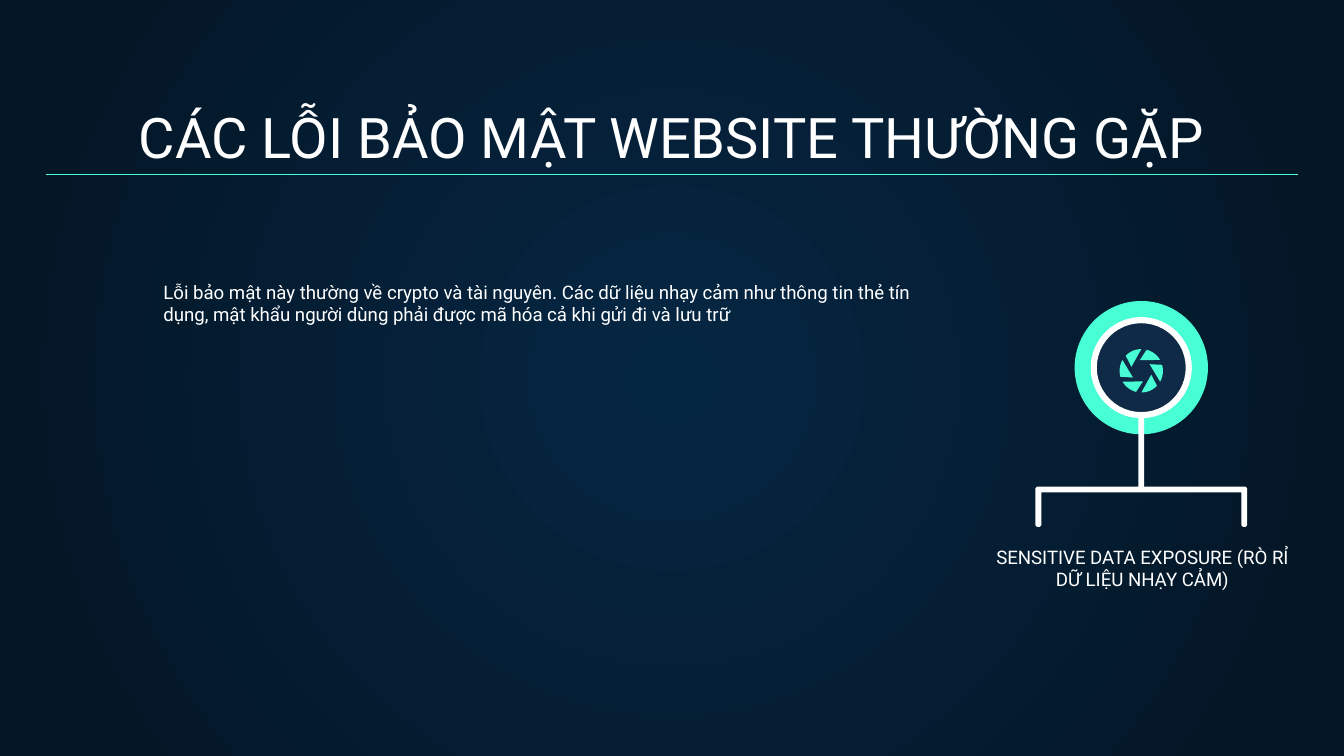
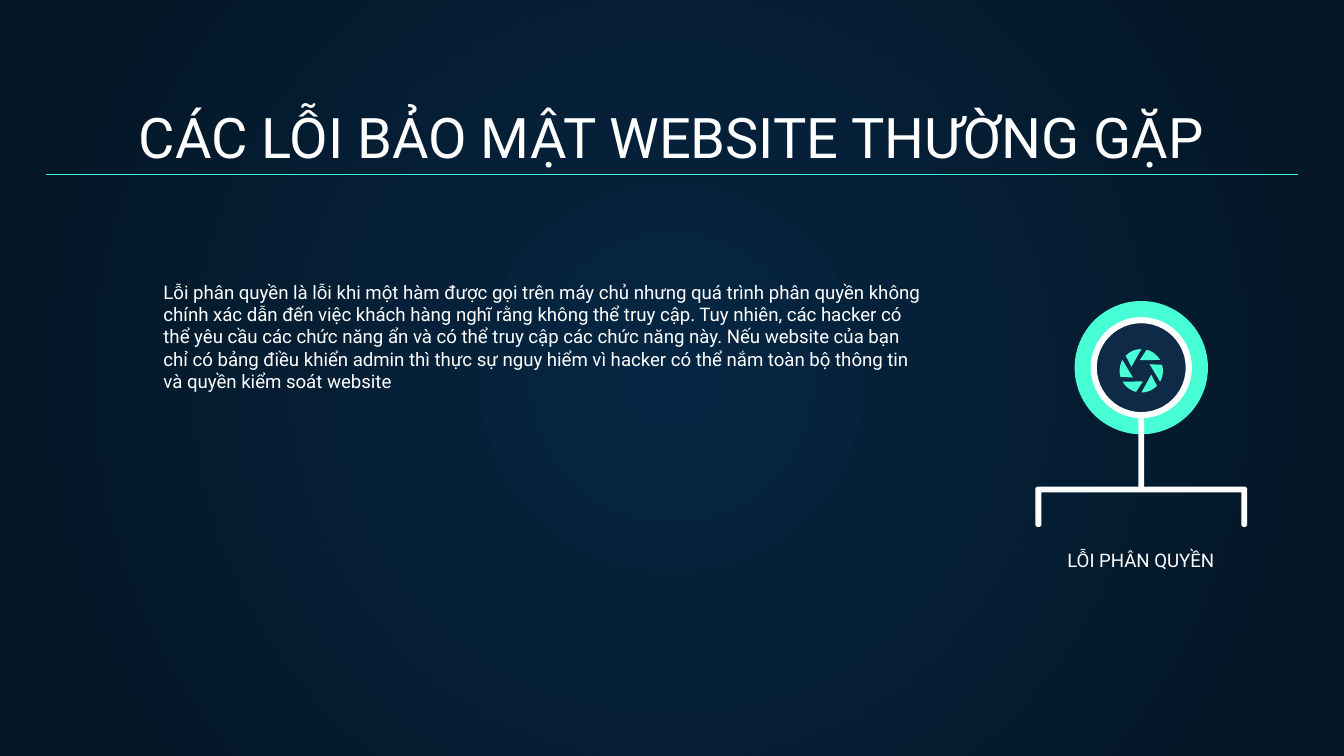
import dataclasses
import math

import lxml.etree
import pptx
import pptx.dml.color
import pptx.enum.shapes
import pptx.enum.text
import pptx.oxml.ns
import pptx.util

Cm = pptx.util.Cm
Kind = pptx.enum.shapes.MSO_SHAPE
Align = pptx.enum.text.PP_ALIGN
Anchor = pptx.enum.text.MSO_ANCHOR
qn = pptx.oxml.ns.qn


@dataclasses.dataclass(frozen=True)
class Theme:
    glow = pptx.dml.color.RGBColor.from_string("052643")
    edge = pptx.dml.color.RGBColor.from_string("041523")
    mint = pptx.dml.color.RGBColor.from_string("48FFD5")
    navy = pptx.dml.color.RGBColor.from_string("0E2A47")
    white = pptx.dml.color.RGBColor.from_string("FFFFFF")
    font = "Roboto"
    title = pptx.util.Pt(30)
    text = pptx.util.Pt(10)
    rule = pptx.util.Pt(0.75)


def write(slide, place, text, size, align, anchor):
    box = slide.shapes.add_textbox(*map(Cm, place))
    frame = box.text_frame
    frame.word_wrap = True
    frame.vertical_anchor = anchor
    frame.margin_left = frame.margin_right = Cm(0.25)
    frame.margin_top = frame.margin_bottom = Cm(0.25)
    frame.text = text
    para = frame.paragraphs[0]
    para.alignment = align
    font = para.runs[0].font
    font.name, font.size, font.color.rgb = Theme.font, size, Theme.white
    return para


def paint(shape, color):
    shape.shadow.inherit = False
    shape.fill.solid()
    shape.fill.fore_color.rgb = color
    shape.line.fill.background()


title = "CÁC LỖI BẢO MẬT WEBSITE THƯỜNG GẶP"
# Label, its place, body text
pages = [
    ("SENSITIVE DATA EXPOSURE (RÒ RỈ DỮ LIỆU NHẠY CẢM)",
     (18.34, 10.29, 6.5, 1.12),
     "Lỗi bảo mật này thường về crypto và tài nguyên. Các dữ liệu nhạy cảm "
     "như thông tin thẻ tín dụng, mật khẩu người dùng phải được mã hóa cả "
     "khi gửi đi và lưu trữ"),
    ("LỖI PHÂN QUYỀN",
     (18.31, 10.03, 6.5, 0.99),
     "Lỗi phân quyền là lỗi khi một hàm được gọi trên máy chủ nhưng quá trình "
     "phân quyền không chính xác dẫn đến việc khách hàng nghĩ rằng không thể "
     "truy cập. Tuy nhiên, các hacker có thể yêu cầu các chức năng ẩn và có "
     "thể truy cập các chức năng này. Nếu website của bạn chỉ có bảng điều "
     "khiển admin thì thực sự nguy hiểm vì hacker có thể nắm toàn bộ thông "
     "tin và quyền kiểm soát website"),
]

# Badge measures in cm
mid_x, mid_y = 21.57, 6.95
eye_y = 7.01
bar = 0.11
top, foot, half = 9.2, 9.96, 2.0
nick = 0.03

# Left half of the bracket, from its outer top corner to the inner one
side = [(-half + nick, top), (-half, top + nick), (-half, foot - nick),
        (-half + nick, foot), (-half + bar - nick, foot),
        (-half + bar, foot - nick), (-half + bar, top + bar)]
frame = side + [(-x, y) for x, y in reversed(side)]

# One blade of the shutter: inner corner, then an arc along the rim
blade = [(-0.03, -0.2)]
for step in range(7):
    turn = math.radians(-76 + step * 46 / 6)
    blade.append((0.41 * math.cos(turn), 0.41 * math.sin(turn)))

deck = pptx.Presentation()
deck.slide_width, deck.slide_height = Cm(25.4), Cm(14.29)

for label, place, body in pages:
    slide = deck.slides.add_slide(deck.slide_layouts[6])
    shapes = slide.shapes

    # Round gradient behind everything
    fill = slide.background.fill
    fill.gradient()
    for stop, color, spot in zip(fill.gradient_stops, (Theme.glow, Theme.edge), (0, 1)):
        stop.color.rgb, stop.position = color, spot
    grad = slide.element.find(".//" + qn("a:gradFill"))
    grad.remove(grad.find(qn("a:lin")))
    path = lxml.etree.Element(qn("a:path"), path="circle")
    lxml.etree.SubElement(path, qn("a:fillToRect"), l="50000", t="50000",
                          r="50000", b="50000")
    grad.find(qn("a:gsLst")).addnext(path)

    # Title
    write(slide, (0.86, 1.78, 23.67, 1.68), title, Theme.title,
          Align.CENTER, Anchor.BOTTOM)

    # Bracket
    pen = shapes.build_freeform(Cm(mid_x + frame[0][0]), Cm(frame[0][1]))
    pen.add_line_segments([(Cm(mid_x + x), Cm(y)) for x, y in frame[1:]])
    paint(pen.convert_to_shape(), Theme.white)

    # Disc, stem, core and ring
    for kind, wide, high, mid, color, bend in [
            (Kind.OVAL, 2.52, 2.52, mid_y, Theme.mint, None),
            (Kind.ROUNDED_RECTANGLE, bar, 2.54, 8.03, Theme.white, 0.5),
            (Kind.OVAL, 1.78, 1.78, mid_y, Theme.navy, None),
            (Kind.DONUT, 1.91, 1.91, mid_y, Theme.white, 0.06)]:
        part = shapes.add_shape(kind, Cm(mid_x - wide / 2), Cm(mid - high / 2),
                                Cm(wide), Cm(high))
        if bend is not None:
            part.adjustments[0] = bend
        paint(part, color)

    # Shutter of six blades
    group = shapes.add_group_shape()
    for count in range(6):
        turn = math.radians(60 * count)
        cos, sin = math.cos(turn), math.sin(turn)
        spots = [(Cm(mid_x + x * cos - y * sin), Cm(eye_y + x * sin + y * cos))
                 for x, y in blade]
        pen = group.shapes.build_freeform(*spots[0])
        pen.add_line_segments(spots[1:])
        paint(pen.convert_to_shape(), Theme.mint)

    # Rule under the title
    rule = shapes.add_connector(pptx.enum.shapes.MSO_CONNECTOR.STRAIGHT,
                                Cm(0.86), Cm(3.3), Cm(24.54), Cm(3.3))
    rule.line.color.rgb, rule.line.width = Theme.mint, Theme.rule
    lxml.etree.SubElement(rule.element.spPr, qn("a:effectLst"))

    # Label and body
    write(slide, place, label, Theme.text, Align.CENTER, Anchor.BOTTOM)
    para = write(slide, (2.54, 5.05, 15.24, 8.28), body, Theme.text,
                 Align.LEFT, Anchor.TOP)
    props = para._p.get_or_add_pPr()
    props.set("marL", str(Cm(0.3)))
    props.set("indent", "0")

deck.save("out.pptx")
